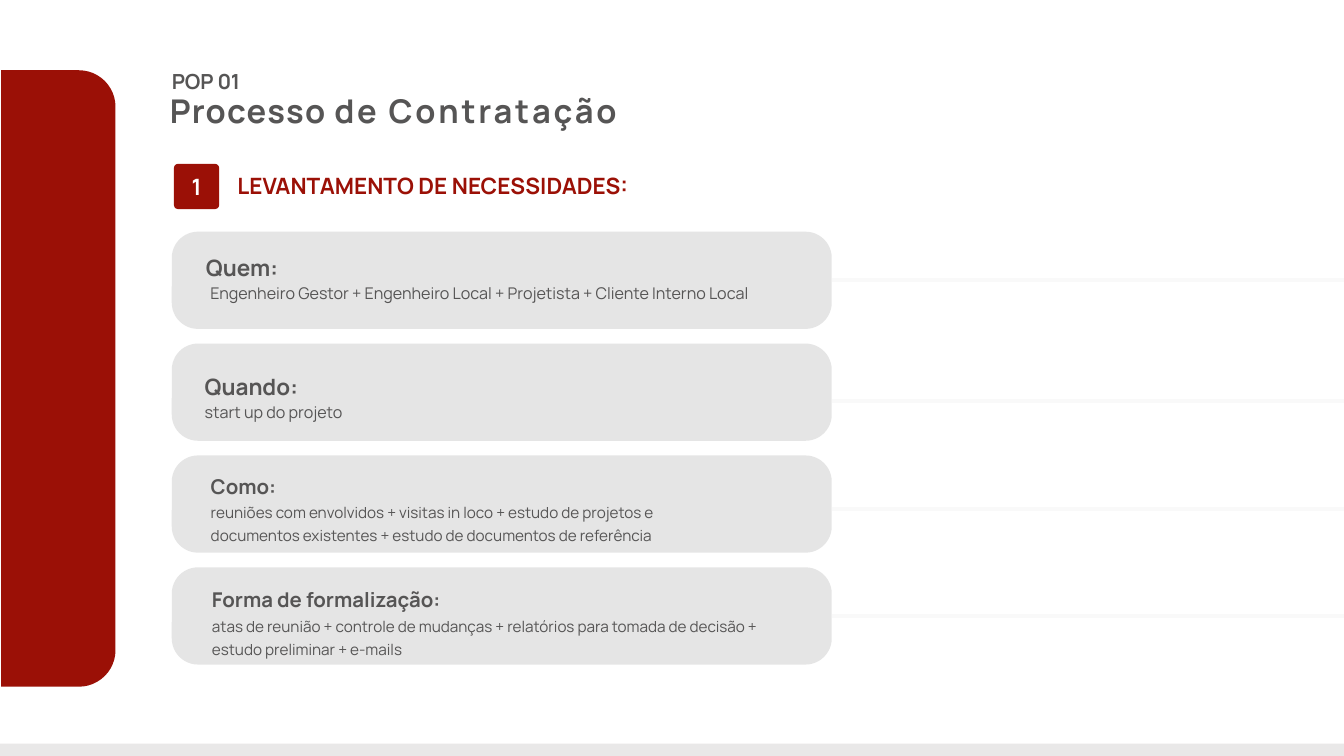
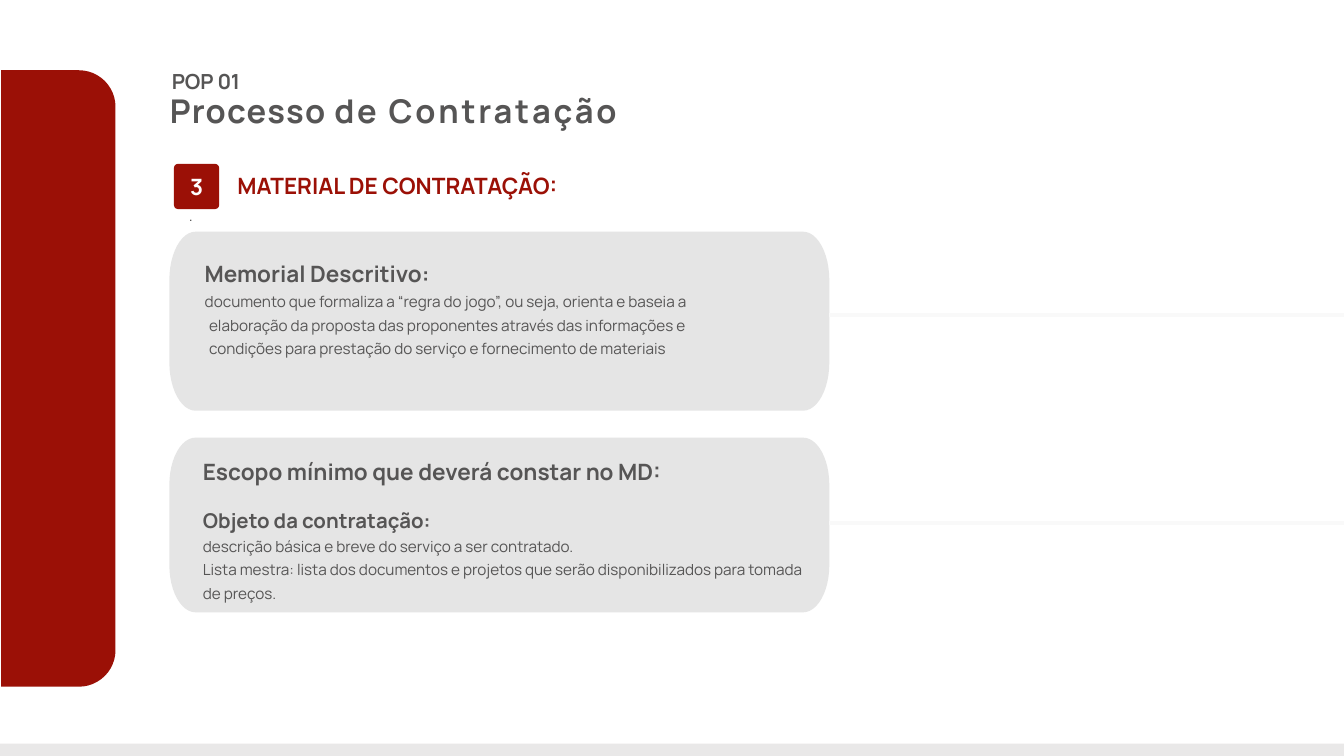
"""Build two slides on the hiring process: needs survey and hiring material."""
from math import cos, pi, sin

from lxml.etree import SubElement
from pptx import Presentation
from pptx.dml.color import RGBColor
from pptx.enum.shapes import MSO_CONNECTOR, MSO_SHAPE
from pptx.enum.text import MSO_ANCHOR, PP_ALIGN
from pptx.oxml.ns import qn
from pptx.util import Cm, Pt

RED = RGBColor(0x9B, 0x10, 0x06)
GREY = RGBColor(0x56, 0x55, 0x55)
WHITE = RGBColor(0xFF, 0xFF, 0xFF)
CARD_GREY = RGBColor(0xE5, 0xE5, 0xE5)
FOOTER_GREY = RGBColor(0xE9, 0xE8, 0xE8)
LINE_GREY = RGBColor(0xF9, 0xF9, 0xF9)
FONT = "Manrope"
SLIDE_WIDTH, SLIDE_HEIGHT = 55.86, 31.42
CARD_WIDTH, CARD_RADIUS, CORNER_RATIO = 27.43, 1.09, 0.27
BODY_LEADING = 27.5
BAND_LENGTH, BAND_DEPTH = 25.62, 4.75


def add_text(frame, paragraphs):
    """Fill a frame with paragraphs of (runs, size, bold, colour, layout)."""
    frame.word_wrap = True
    frame.margin_left = frame.margin_right = frame.margin_top = frame.margin_bottom = 0
    for index, (runs, size, bold, colour, layout) in enumerate(paragraphs):
        paragraph = frame.add_paragraph() if index else frame.paragraphs[0]
        properties = paragraph._p.get_or_add_pPr()
        properties.set("marL", str(Cm(layout.get("margin", 0))))
        properties.set("indent", str(Cm(layout.get("indent", 0))))
        if "before" in layout:
            paragraph.space_before = Pt(layout["before"])
        if "leading" in layout:
            paragraph.line_spacing = Pt(layout["leading"])
        for text, spacing in runs:
            run = paragraph.add_run()
            run.text = text
            run.font.name, run.font.size, run.font.bold = FONT, Pt(size), bold
            run.font.color.rgb = colour
            if spacing:
                run.font._element.set("spc", str(spacing))


def paint(shape, colour):
    """Give a shape a plain fill with no line or shadow."""
    shape.shadow.inherit = False
    shape.fill.solid()
    shape.fill.fore_color.rgb = colour
    shape.line.fill.background()


DENSE = {"before": 0.2, "leading": BODY_LEADING}
LOOSE = {"before": 3.2}
slides = [
    {
        "number": "1",
        "heading": "LEVANTAMENTO DE NECESSIDADES:",
        "card_left": 7.14,
        "cards": [(9.63 + 4.65 * row, 4.04, offset) for row, offset in enumerate((0, 0.35, 0.2, 0))],
        "texts": [
            (8.56, 10.54, 23.75, [
                ("Quem:", 26.5, True, {}),
                ("Engenheiro Gestor + Engenheiro Local + Projetista + Cliente Interno Local", 19, False,
                 {**LOOSE, "margin": 0.18}),
            ]),
            (8.51, 15.49, 25.15, [
                ("Quando:", 26.5, True, {}),
                ("start up do projeto", 19, False, LOOSE),
            ]),
            (8.76, 19.69, 21, [
                ("Como:", 24, True, {}),
                ("reuniões com envolvidos + visitas in loco + estudo de projetos e documentos "
                 "existentes + estudo de documentos de referência", 18, False, DENSE),
            ]),
            (8.81, 24.41, 23.85, [
                ("Forma de formalização:", 24, True, {}),
                ("atas de reunião + controle de mudanças + relatórios para tomada de decisão + "
                 "estudo preliminar + e-mails", 18, False, DENSE),
            ]),
        ],
    },
    {
        "number": "3",
        "heading": "MATERIAL DE CONTRATAÇÃO:",
        "card_left": 7.04,
        "cards": [(9.63, 7.44, -0.27), (18.19, 7.26, -0.07)],
        "texts": [
            (7.85, 8.56, 1, [(".", 18, False, {})]),
            (8.51, 10.82, 22.4, [
                ("Memorial Descritivo:", 26.5, True, {}),
                ("documento que formaliza a “regra do jogo”, ou seja, orienta e baseia a elaboração "
                 "da proposta das proponentes através das informações e condições para prestação "
                 "do serviço e fornecimento de materiais", 18, False,
                 {**DENSE, "margin": 0.18, "indent": -0.18}),
            ]),
            (8.43, 19.05, 25.2, [
                ("Escopo mínimo que deverá constar no MD:", 26.5, True, {}),
                ("Objeto da contratação:", 24, True, {"before": 27.7, "leading": BODY_LEADING}),
                ("descrição básica e breve do serviço a ser contratado.", 18, False,
                 {"leading": BODY_LEADING}),
                ("Lista mestra: lista dos documentos e projetos que serão disponibilizados para "
                 "tomada de preços.", 18, False, DENSE),
            ]),
        ],
    },
]

presentation = Presentation()
presentation.slide_width, presentation.slide_height = Cm(SLIDE_WIDTH), Cm(SLIDE_HEIGHT)

for content in slides:
    slide = presentation.slides.add_slide(presentation.slide_layouts[6])
    shapes = slide.shapes

    footer = shapes.add_shape(MSO_SHAPE.RECTANGLE, 0, Cm(30.91), Cm(SLIDE_WIDTH), Cm(0.51))
    paint(footer, FOOTER_GREY)

    band = shapes.add_shape(
        MSO_SHAPE.ROUND_2_SAME_RECTANGLE,
        Cm(0.05 + (BAND_DEPTH - BAND_LENGTH) / 2), Cm(2.92 + (BAND_LENGTH - BAND_DEPTH) / 2),
        Cm(BAND_LENGTH), Cm(BAND_DEPTH))
    band.rotation = 90
    band.adjustments[0] = 0.32
    paint(band, RED)

    badge = shapes.add_shape(MSO_SHAPE.ROUNDED_RECTANGLE, Cm(7.23), Cm(6.81), Cm(1.88), Cm(1.88))
    badge.adjustments[0] = 0.09
    paint(badge, RED)
    add_text(badge.text_frame, [([(content["number"], 0)], 26.5, True, WHITE, {})])
    badge.text_frame.vertical_anchor = MSO_ANCHOR.MIDDLE
    badge.text_frame.paragraphs[0].alignment = PP_ALIGN.CENTER

    for left, top, width, height, runs, size, colour in (
        (7.14, 2.87, 5, 1.1, [("POP ", -10), ("01", -70)], 24.5, GREY),
        (7.06, 3.78, 21.5, 1.7, [("Processo ", 140), ("de ", 310), ("Contratação", 320)], 38.5, GREY),
        (9.87, 7.14, 20, 1.2, [(content["heading"], 0)], 26.5, RED),
    ):
        box = shapes.add_textbox(Cm(left), Cm(top), Cm(width), Cm(height))
        add_text(box.text_frame, [(runs, size, True, colour, {})])

    card_left = content["card_left"]
    card_right = card_left + CARD_WIDTH
    for top, height, line_offset in content["cards"]:
        corner_height = CORNER_RATIO * height
        if abs(corner_height - CARD_RADIUS) < 0.01:
            card = shapes.add_shape(
                MSO_SHAPE.ROUNDED_RECTANGLE, Cm(card_left), Cm(top), Cm(CARD_WIDTH), Cm(height))
            card.adjustments[0] = CORNER_RATIO
        else:
            outline = []
            for corner, (x, y) in enumerate((
                (card_right - CARD_RADIUS, top + height - corner_height),
                (card_left + CARD_RADIUS, top + height - corner_height),
                (card_left + CARD_RADIUS, top + corner_height),
                (card_right - CARD_RADIUS, top + corner_height),
            )):
                for step in range(13):
                    angle = (corner + step / 12) * pi / 2
                    outline.append((Cm(x + CARD_RADIUS * cos(angle)), Cm(y + corner_height * sin(angle))))
            builder = shapes.build_freeform(*outline[0])
            builder.add_line_segments(outline[1:], close=True)
            card = builder.convert_to_shape()
        paint(card, CARD_GREY)

        line_top = Cm(top + height / 2 + line_offset)
        line = shapes.add_connector(
            MSO_CONNECTOR.STRAIGHT, Cm(card_right), line_top, Cm(SLIDE_WIDTH), line_top)
        line.line.color.rgb = LINE_GREY
        line.line.width = Pt(4.8)
        SubElement(line._element.spPr, qn("a:effectLst"))
        if line_offset == 0:
            line.begin_connect(card, 3)

    for left, top, width, paragraphs in content["texts"]:
        box = shapes.add_textbox(Cm(left), Cm(top), Cm(width), Cm(1.3 * len(paragraphs)))
        add_text(box.text_frame, [
            ([(text, 0)], size, bold, GREY, layout) for text, size, bold, layout in paragraphs])

presentation.save("out.pptx")
